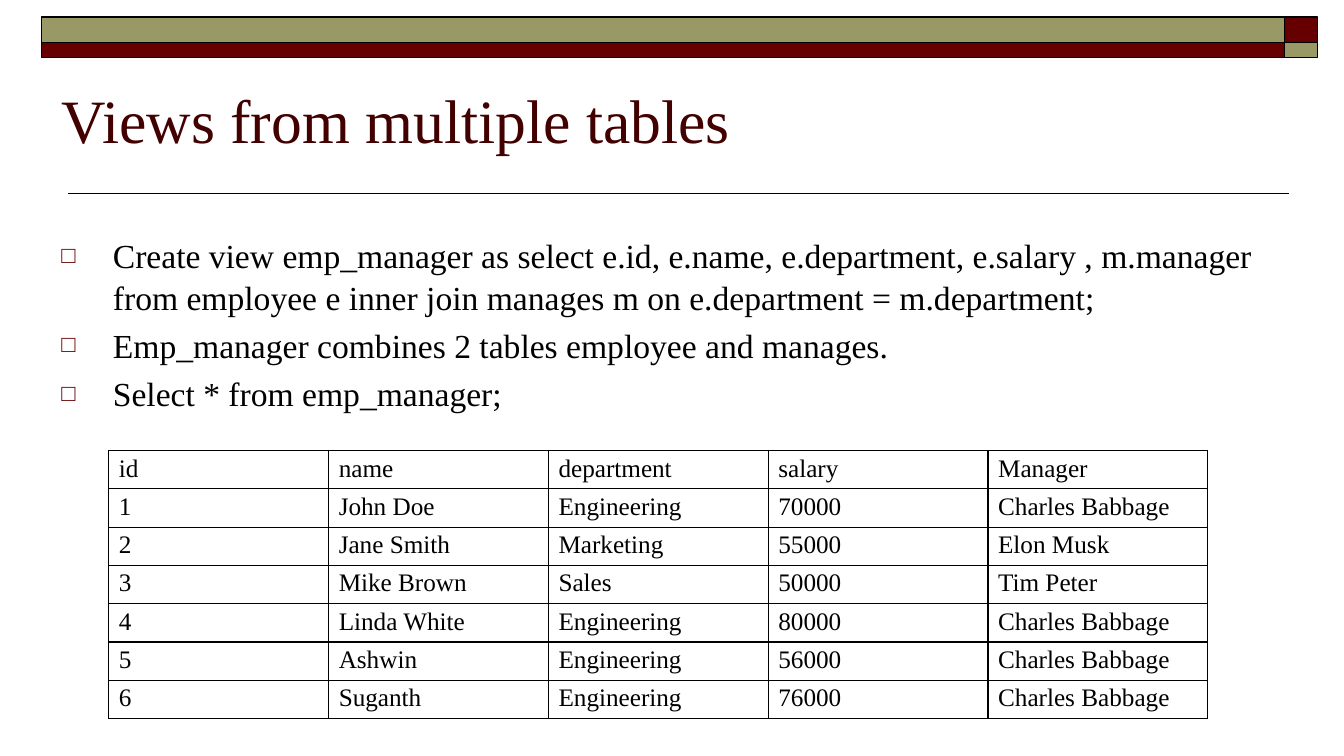
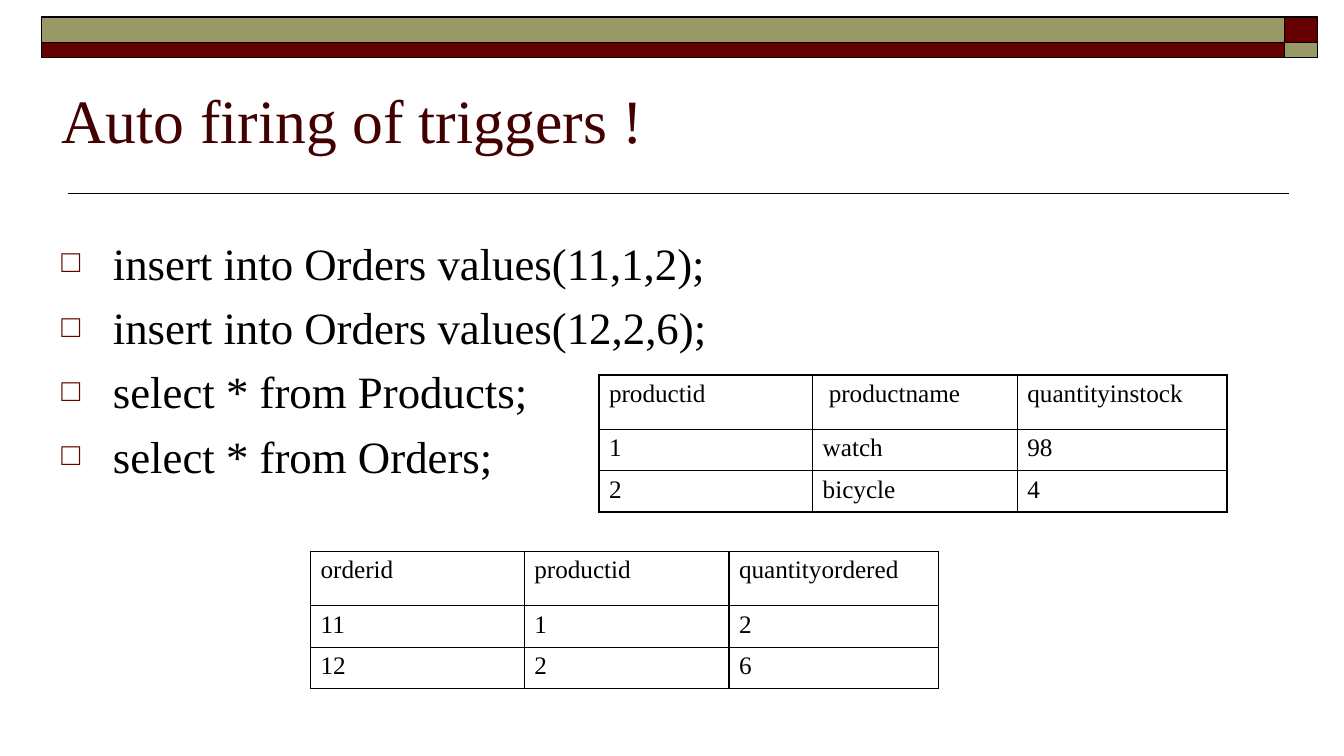
import pptx
import pptx.dml.color
import pptx.enum.shapes
import pptx.enum.text
import pptx.oxml
import pptx.oxml.ns
import pptx.util
from pptx.util import Inches

FONT = "Times New Roman"
MAROON, OLIVE, TITLE_COLOR, BLACK = "660000", "999966", "420000", "000000"
ANCHOR = pptx.enum.text.MSO_ANCHOR

BAND_X = [(0.41, 12.33), (12.74, 0.33)]
BAND_Y = [(0.17, 0.25), (0.42, 0.15)]
PRODUCT_COLUMNS = [2.12, 2.03, 2.08]
PRODUCT_ROWS = [0.54, 0.41, 0.41]

SLIDES = [
    {
        "title": "Views from multiple tables",
        "size": 24,
        "bullets": [
            "Create view emp_manager as select e.id, e.name, e.department, e.salary , m.manager "
            "from employee e inner join manages m on e.department = m.department;",
            "Emp_manager combines 2 tables employee and manages.",
            "Select * from emp_manager;",
        ],
        "tables": [
            {
                "at": (1.08, 4.47),
                "columns": [2.18] * 5,
                "rows": [0.38] * 7,
                "margin": 0.04,
                "cells": [
                    ("id", "name", "department", "salary", "Manager"),
                    ("1", "John Doe", "Engineering", "70000", "Charles Babbage"),
                    ("2", "Jane Smith", "Marketing", "55000", "Elon Musk"),
                    ("3", "Mike Brown", "Sales", "50000", "Tim Peter"),
                    ("4", "Linda White", "Engineering", "80000", "Charles Babbage"),
                    ("5", "Ashwin", "Engineering", "56000", "Charles Babbage"),
                    ("6", "Suganth", "Engineering", "76000", "Charles Babbage"),
                ],
            },
        ],
    },
    {
        "title": "Auto firing of triggers !",
        "size": 32,
        "bullets": [
            "insert into Orders values(11,1,2);",
            "insert into Orders values(12,2,6);",
            "select * from Products;",
            "select * from Orders;",
        ],
        "tables": [
            {
                "at": (5.94, 3.72),
                "columns": PRODUCT_COLUMNS,
                "rows": PRODUCT_ROWS,
                "margin": 0.05,
                "indents": {"productname": 0.06},
                "cells": [
                    ("productid", "productname", "quantityinstock"),
                    ("1", "watch", "98"),
                    ("2", "bicycle", "4"),
                ],
            },
            {
                "at": (3.08, 5.47),
                "columns": PRODUCT_COLUMNS,
                "rows": PRODUCT_ROWS,
                "margin": 0.05,
                "cells": [
                    ("orderid", "productid", "quantityordered"),
                    ("11", "1", "2"),
                    ("12", "2", "6"),
                ],
            },
        ],
    },
]


def color(value):
    return pptx.dml.color.RGBColor.from_string(value)


def add_xml(parent, markup):
    namespace = pptx.oxml.ns.nsdecls("a")
    root = pptx.oxml.parse_xml(f"<a:root {namespace}>{markup}</a:root>")
    for child in list(root):
        parent.append(child)


def style_paragraph(para, size, value):
    para.font.name = FONT
    para.font.size = pptx.util.Pt(size)
    para.font.color.rgb = color(value)


def outline(shape):
    shape.line.color.rgb = color(BLACK)
    shape.line.width = pptx.util.Pt(1)


def place(shape, left, top, width, height):
    shape.left, shape.top = Inches(left), Inches(top)
    shape.width, shape.height = Inches(width), Inches(height)


def prepare_layout(layout):
    for holder in list(layout.placeholders)[2:]:
        holder.element.getparent().remove(holder.element)
    title, body = layout.placeholders
    place(title, 0.51, 0.35, 12, 1.25)
    title.text_frame.vertical_anchor = ANCHOR.BOTTOM
    place(body, 0.51, 2.27, 12.2, 4.57)
    for holder in (title, body):
        holder.text_frame.auto_size = pptx.enum.text.MSO_AUTO_SIZE.NONE


def add_frame(slide, layout):
    parts = []
    for row, (top, height) in enumerate(BAND_Y):
        for column, (left, width) in enumerate(BAND_X):
            band = slide.shapes.add_shape(
                pptx.enum.shapes.MSO_SHAPE.RECTANGLE,
                Inches(left), Inches(top), Inches(width), Inches(height))
            band.shadow.inherit = False
            band.fill.solid()
            band.fill.fore_color.rgb = color(OLIVE if row == column else MAROON)
            parts.append(band)
    rule = slide.shapes.add_connector(
        pptx.enum.shapes.MSO_CONNECTOR.STRAIGHT,
        Inches(0.67), Inches(1.92), Inches(12.78), Inches(1.92))
    parts.append(rule)
    for part in parts:
        outline(part)
    add_xml(rule.element.spPr, "<a:effectLst/>")
    for part in parts:
        layout.shapes.element.append(part.element)


def fill_title(title, text):
    title.text_frame.text = text
    para = title.text_frame.paragraphs[0]
    para.alignment = pptx.enum.text.PP_ALIGN.LEFT
    style_paragraph(para, 44, TITLE_COLOR)


def fill_bullets(body, bullets, size):
    frame = body.text_frame
    frame.text = "\n".join(bullets)
    for index, para in enumerate(frame.paragraphs):
        properties = para._p.get_or_add_pPr()
        properties.set("marL", str(Inches(0.51)))
        properties.set("indent", str(-Inches(0.51)))
        add_xml(properties,
                f'<a:buClr><a:srgbClr val="{MAROON}"/></a:buClr><a:buSzPct val="70000"/>'
                f'<a:buFont typeface="{FONT}"/><a:buChar char="□"/>')
        para.line_spacing = 1.03
        para.space_before = pptx.util.Pt(size * 0.2 if index else 0)
        style_paragraph(para, size, BLACK)


def fill_cell(cell, text, margin, indent):
    cell.text = text
    cell.margin_left = Inches(0.1 + indent)
    cell.margin_top = cell.margin_bottom = Inches(margin)
    cell.vertical_anchor = ANCHOR.TOP
    style_paragraph(cell.text_frame.paragraphs[0], 18, BLACK)
    for side in "LRTB":
        add_xml(cell._tc.get_or_add_tcPr(),
                f'<a:ln{side} w="{pptx.util.Pt(1)}"><a:solidFill>'
                f'<a:srgbClr val="{BLACK}"/></a:solidFill></a:ln{side}>')
    cell.fill.background()


def add_grid(slide, grid):
    left, top = grid["at"]
    columns, rows = grid["columns"], grid["rows"]
    table = slide.shapes.add_table(
        len(rows), len(columns), Inches(left), Inches(top),
        Inches(sum(columns)), Inches(sum(rows))).table
    table.first_row = table.horz_banding = False
    for column, width in zip(table.columns, columns):
        column.width = Inches(width)
    for row, height in zip(table.rows, rows):
        row.height = Inches(height)
    indents = grid.get("indents", {})
    for row, texts in zip(table.rows, grid["cells"]):
        for cell, text in zip(row.cells, texts):
            fill_cell(cell, text, grid["margin"], indents.get(text, 0))


def main():
    deck = pptx.Presentation()
    deck.slide_width, deck.slide_height = Inches(13.33), Inches(7.5)
    layout = deck.slide_layouts[1]
    prepare_layout(layout)
    for index, content in enumerate(SLIDES):
        slide = deck.slides.add_slide(layout)
        if index == 0:
            add_frame(slide, layout)
        fill_title(slide.shapes.title, content["title"])
        fill_bullets(slide.placeholders[1], content["bullets"], content["size"])
        for grid in content["tables"]:
            add_grid(slide, grid)
    deck.save("out.pptx")


if __name__ == "__main__":
    main()
